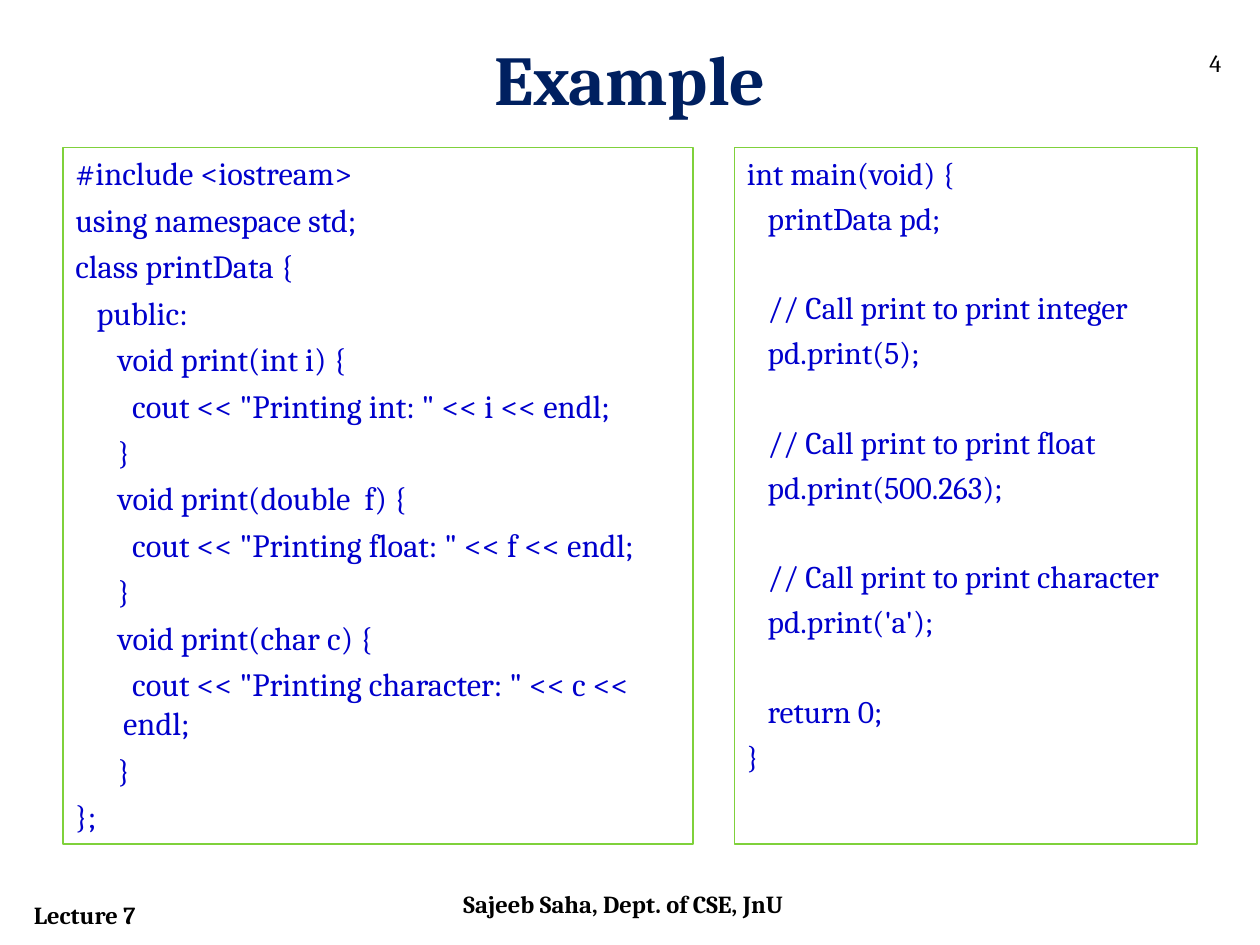
from dataclasses import dataclass

from pptx import Presentation
from pptx.dml.color import RGBColor
from pptx.enum import shapes, text
from pptx.util import Inches, Pt


@dataclass(frozen=True)
class Theme:
    font: str = "Cambria"
    title: RGBColor = RGBColor(0x00, 0x20, 0x60)
    code: RGBColor = RGBColor(0x00, 0x00, 0xCC)
    border: RGBColor = RGBColor(0x7F, 0xD1, 0x3B)
    label: RGBColor = RGBColor(0x00, 0x00, 0x00)
    title_size: float = 40
    label_size: float = 14
    line_height: float = 1.17
    paragraph_gap: float = 0.2


@dataclass(frozen=True)
class Box:
    left: float
    top: float
    width: float
    height: float

    def lengths(self) -> tuple:
        return tuple(map(Inches, (self.left, self.top, self.width, self.height)))


@dataclass(frozen=True)
class CodePanel:
    box: Box
    size: float
    code: str


@dataclass(frozen=True)
class Label:
    box: Box
    words: str
    bold: bool


THEME = Theme()
PANEL_TOP, PANEL_HEIGHT = 1.17, 5.53
HANGING_INDENT = Inches(0.38)
TITLE_BOX = Box(0.5, 0.23, 9, 0.77)

CLASS_CODE = """#include <iostream>
using namespace std;
class printData {
   public:
      void print(int i) {
        cout << "Printing int: " << i << endl;
      }
      void print(double  f) {
        cout << "Printing float: " << f << endl;
      }
      void print(char c) {
        cout << "Printing character: " << c << endl;
      }
};"""

MAIN_CODE = """int main(void) {
   printData pd;

   // Call print to print integer
   pd.print(5);

   // Call print to print float
   pd.print(500.263);

   // Call print to print character
   pd.print('a');

   return 0;
}"""

PANELS = [
    CodePanel(Box(0.5, PANEL_TOP, 5, PANEL_HEIGHT), 18.5, CLASS_CODE),
    CodePanel(Box(5.83, PANEL_TOP, 3.67, PANEL_HEIGHT), 18, MAIN_CODE),
]

LABELS = [
    Label(Box(0.17, 7.09, 2, 0.34), "Lecture 7", True),
    Label(Box(3.58, 7.01, 2.83, 0.4), "Sajeeb Saha, Dept. of CSE, JnU", True),
    Label(Box(9.5, 0.33, 0.42, 0.4), "4", False),
]


def add_run(paragraph, words: str, size: float, color: RGBColor, bold: bool = False) -> None:
    run = paragraph.add_run()
    run.text = words
    run.font.name = THEME.font
    run.font.size = Pt(size)
    run.font.bold = bold
    run.font.color.rgb = color


def set_title(slide, words: str) -> None:
    title = slide.shapes.title
    title.left, title.top, title.width, title.height = TITLE_BOX.lengths()
    frame = title.text_frame
    frame.auto_size = text.MSO_AUTO_SIZE.NONE
    frame.vertical_anchor = text.MSO_ANCHOR.MIDDLE
    paragraph = frame.paragraphs[0]
    paragraph.alignment = text.PP_ALIGN.CENTER
    add_run(paragraph, words, THEME.title_size, THEME.title, bold=True)


def add_code_panel(slide, panel: CodePanel) -> None:
    shape = slide.shapes.add_shape(shapes.MSO_SHAPE.RECTANGLE, *panel.box.lengths())
    shape.shadow.inherit = False
    shape.fill.background()
    shape.line.color.rgb = THEME.border
    shape.line.width = Pt(0.75)
    frame = shape.text_frame
    frame.word_wrap = True
    frame.vertical_anchor = text.MSO_ANCHOR.TOP

    line_height = panel.size * THEME.line_height
    line_gap = line_height * THEME.paragraph_gap
    paragraph = frame.paragraphs[0]
    space_before = 0
    for line in panel.code.splitlines():
        if not line:
            space_before += line_height + line_gap
            continue
        if paragraph.runs:
            paragraph = frame.add_paragraph()
        properties = paragraph._p.get_or_add_pPr()
        properties.set("marL", str(HANGING_INDENT))
        properties.set("indent", str(-HANGING_INDENT))
        paragraph.alignment = text.PP_ALIGN.LEFT
        paragraph.space_before = Pt(round(space_before, 1))
        add_run(paragraph, line, panel.size, THEME.code)
        space_before = line_gap


def add_label(slide, label: Label) -> None:
    frame = slide.shapes.add_textbox(*label.box.lengths()).text_frame
    frame.word_wrap = True
    add_run(frame.paragraphs[0], label.words, THEME.label_size, THEME.label, label.bold)


def main() -> None:
    presentation = Presentation()
    presentation.slide_width = Inches(10)
    presentation.slide_height = Inches(7.5)
    slide = presentation.slides.add_slide(presentation.slide_layouts.get_by_name("Title Only"))
    set_title(slide, "Example")
    for panel in PANELS:
        add_code_panel(slide, panel)
    for label in LABELS:
        add_label(slide, label)
    presentation.save("out.pptx")


if __name__ == "__main__":
    main()
